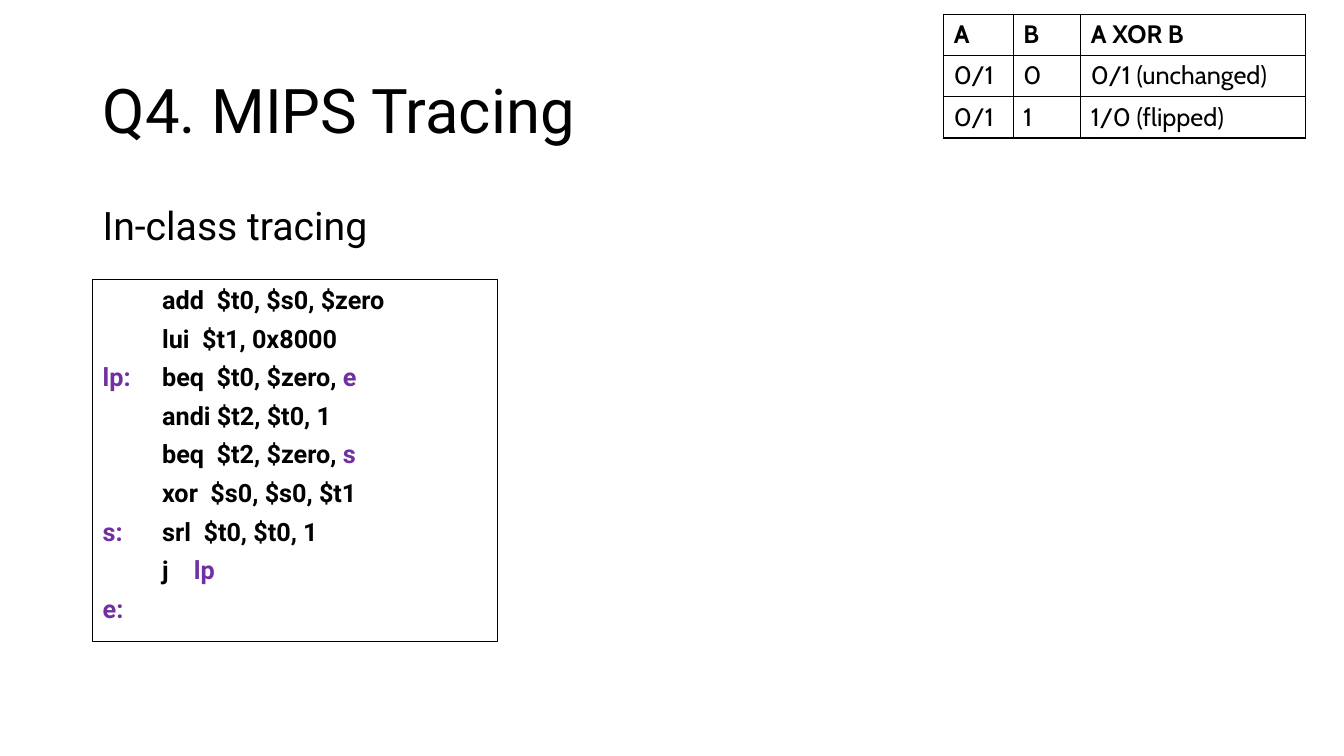
from dataclasses import dataclass

from lxml import etree
from pptx import Presentation
from pptx import util as u
from pptx.dml import color
from pptx.enum import shapes, text
from pptx.oxml import ns

PX = u.Inches(1) // 100


@dataclass(frozen=True)
class Theme:
    """Colours, fonts and type sizes of the slide."""
    ink: str = "000000"
    label: str = "7030A0"
    paper: str = "FFFFFF"
    main_font: str = "Roboto"
    table_font: str = "Cabin"
    title_size: int = 44
    heading_size: int = 28
    body_size: int = 18


THEME = Theme()
TAB_STOPS = (59, 156)
INSTRUCTIONS = [
    ("", "add  $t0, $s0, $zero", ""),
    ("", "lui  $t1, 0x8000", ""),
    ("lp:", "beq  $t0, $zero, ", "e"),
    ("", "andi $t2, $t0, 1", ""),
    ("", "beq  $t2, $zero, ", "s"),
    ("", "xor  $s0, $s0, $t1", ""),
    ("s:", "srl  $t0, $t0, 1", ""),
    ("", "j    ", "lp"),
    ("e:", "", ""),
]
XOR_ROWS = [
    ("A", "B", "A XOR B"),
    ("0/1", "0", "0/1 (unchanged)"),
    ("0/1", "1", "1/0 (flipped)"),
]


def px(*lengths):
    """Turn px lengths into EMU."""
    return [u.Emu(length * PX) for length in lengths]


def rgb(value):
    """Read a hex colour."""
    return color.RGBColor.from_string(value)


def assign(target, **values):
    """Set each named attribute on the target."""
    for name, value in values.items():
        setattr(target, name, value)


def write(paragraph, words, size, bold=False, font=THEME.main_font, ink=THEME.ink):
    """Add one formatted run to the paragraph."""
    run = paragraph.add_run()
    run.text = words
    assign(run.font, size=u.Pt(size), bold=bold, name=font)
    run.font.color.rgb = rgb(ink)


def add_title(slide, box, words):
    """Place and format the title placeholder."""
    title = slide.shapes.title
    assign(title, **dict(zip(("left", "top", "width", "height"), px(*box))))
    assign(title.text_frame, word_wrap=True, vertical_anchor=text.MSO_ANCHOR.MIDDLE)
    line = title.text_frame.paragraphs[0]
    assign(line, alignment=text.PP_ALIGN.LEFT, line_spacing=0.9)
    write(line, words, THEME.title_size)


def add_heading(slide, box, words):
    """Place the text that introduces the tracing exercise."""
    frame = slide.shapes.add_textbox(*px(*box)).text_frame
    frame.word_wrap = True
    line = frame.paragraphs[0]
    assign(line, line_spacing=0.9, space_before=u.Pt(10))
    write(line, words, THEME.heading_size)


def add_tab_stops(paragraph):
    """Give the paragraph its left tab stops."""
    stops = etree.SubElement(paragraph._p.get_or_add_pPr(), ns.qn("a:tabLst"))
    for position in px(*TAB_STOPS):
        etree.SubElement(stops, ns.qn("a:tab"), pos=str(position), algn="l")


def add_code(slide, box, instructions):
    """Place the framed assembly listing."""
    listing = slide.shapes.add_shape(shapes.MSO_SHAPE.RECTANGLE, *px(*box))
    listing.shadow.inherit = False
    listing.fill.solid()
    listing.fill.fore_color.rgb = rgb(THEME.paper)
    listing.line.color.rgb = rgb(THEME.ink)
    listing.line.width = u.Pt(0.75)
    frame = listing.text_frame
    assign(frame, word_wrap=True, vertical_anchor=text.MSO_ANCHOR.TOP)
    for index, (label, operation, target) in enumerate(instructions):
        line = frame.add_paragraph() if index else frame.paragraphs[0]
        assign(line, alignment=text.PP_ALIGN.LEFT, space_after=u.Pt(6))
        add_tab_stops(line)
        tab = "\t" if operation else ""
        parts = [(label, THEME.label), (tab + operation, THEME.ink), (target, THEME.label)]
        for words, ink in parts:
            if words:
                write(line, words, THEME.body_size, bold=True, ink=ink)


def add_borders(cell):
    """Draw a thin line on all four sides of the cell."""
    properties = cell._tc.get_or_add_tcPr()
    for index, side in enumerate(("lnL", "lnR", "lnT", "lnB")):
        border = etree.Element(ns.qn(f"a:{side}"), w=str(u.Pt(1)))
        fill = etree.SubElement(border, ns.qn("a:solidFill"))
        etree.SubElement(fill, ns.qn("a:srgbClr"), val=THEME.ink)
        properties.insert(index, border)


def add_xor_table(slide, corner, widths, row_height, rows):
    """Place the XOR truth table."""
    box = px(*corner, sum(widths), row_height * len(rows))
    table = slide.shapes.add_table(len(rows), len(widths), *box).table
    table.horz_banding = False
    for column, width in zip(table.columns, px(*widths)):
        column.width = width
    for row_index, row in enumerate(rows):
        for column_index, words in enumerate(row):
            cell = table.cell(row_index, column_index)
            cell.fill.background()
            add_borders(cell)
            write(cell.text_frame.paragraphs[0], words, THEME.body_size,
                  bold=row_index == 0, font=THEME.table_font)


def add_tracing_slide(deck):
    """Build the MIPS tracing slide."""
    slide = deck.slides.add_slide(deck.slide_layouts[5])
    add_title(slide, (92, 40, 1150, 145), "Q4. MIPS Tracing")
    add_heading(slide, (92, 200, 1150, 476), "In-class tracing")
    add_code(slide, (92, 277, 401, 359), INSTRUCTIONS)
    add_xor_table(slide, (936, 14), (69, 67, 223), 41, XOR_ROWS)


def main():
    """Create and save the deck."""
    deck = Presentation()
    deck.slide_width, deck.slide_height = px(1333, 750)
    add_tracing_slide(deck)
    deck.save("out.pptx")


if __name__ == "__main__":
    main()
